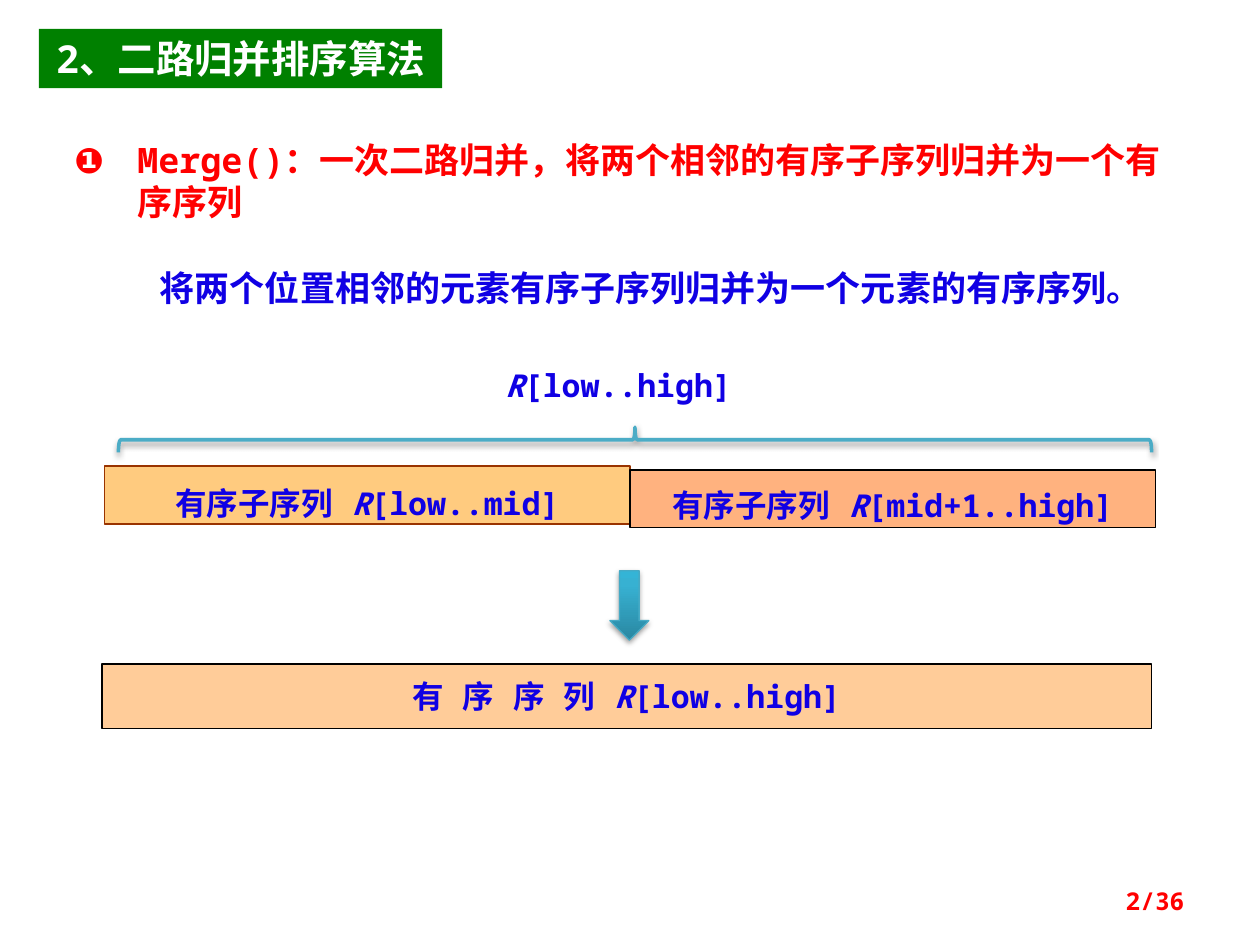
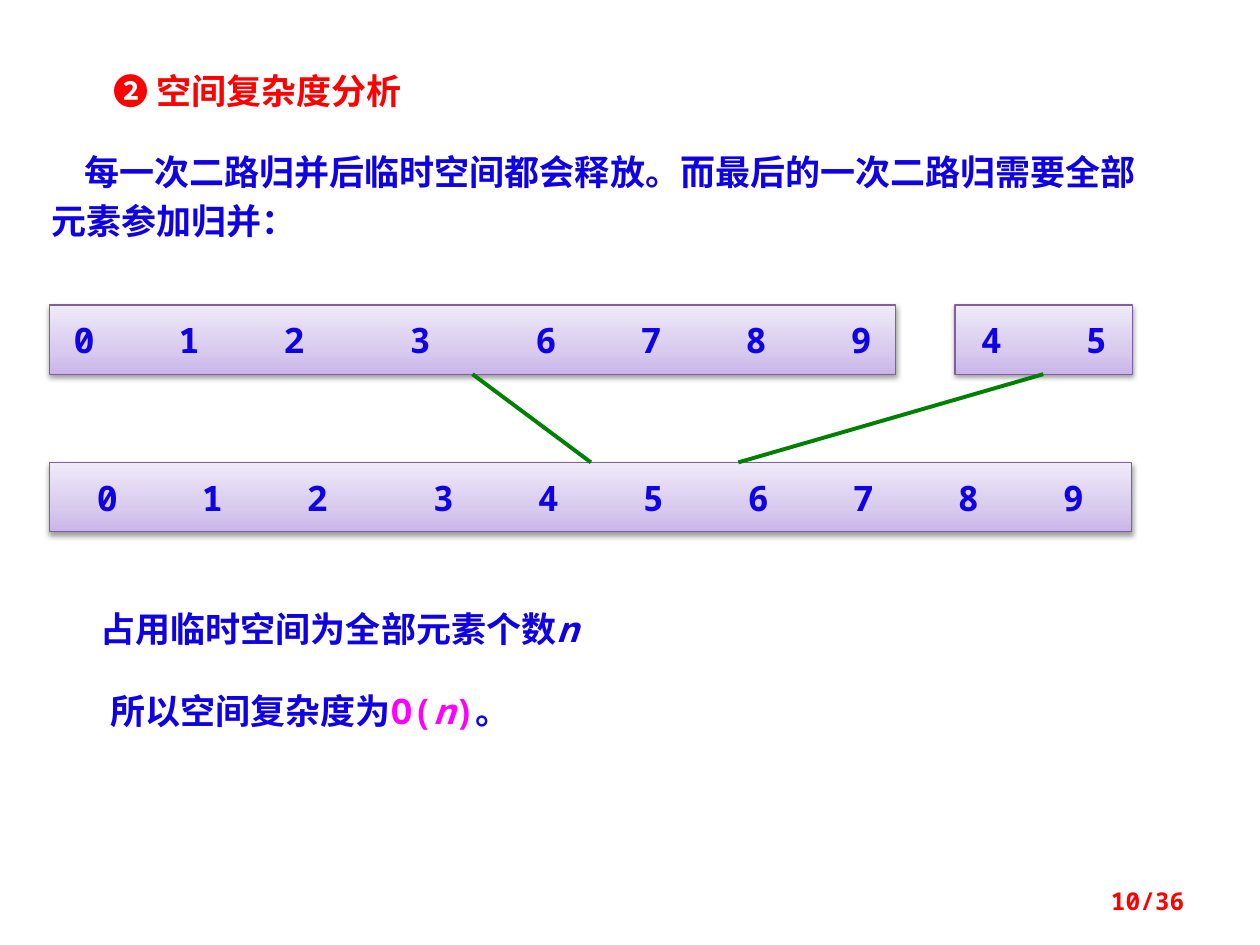
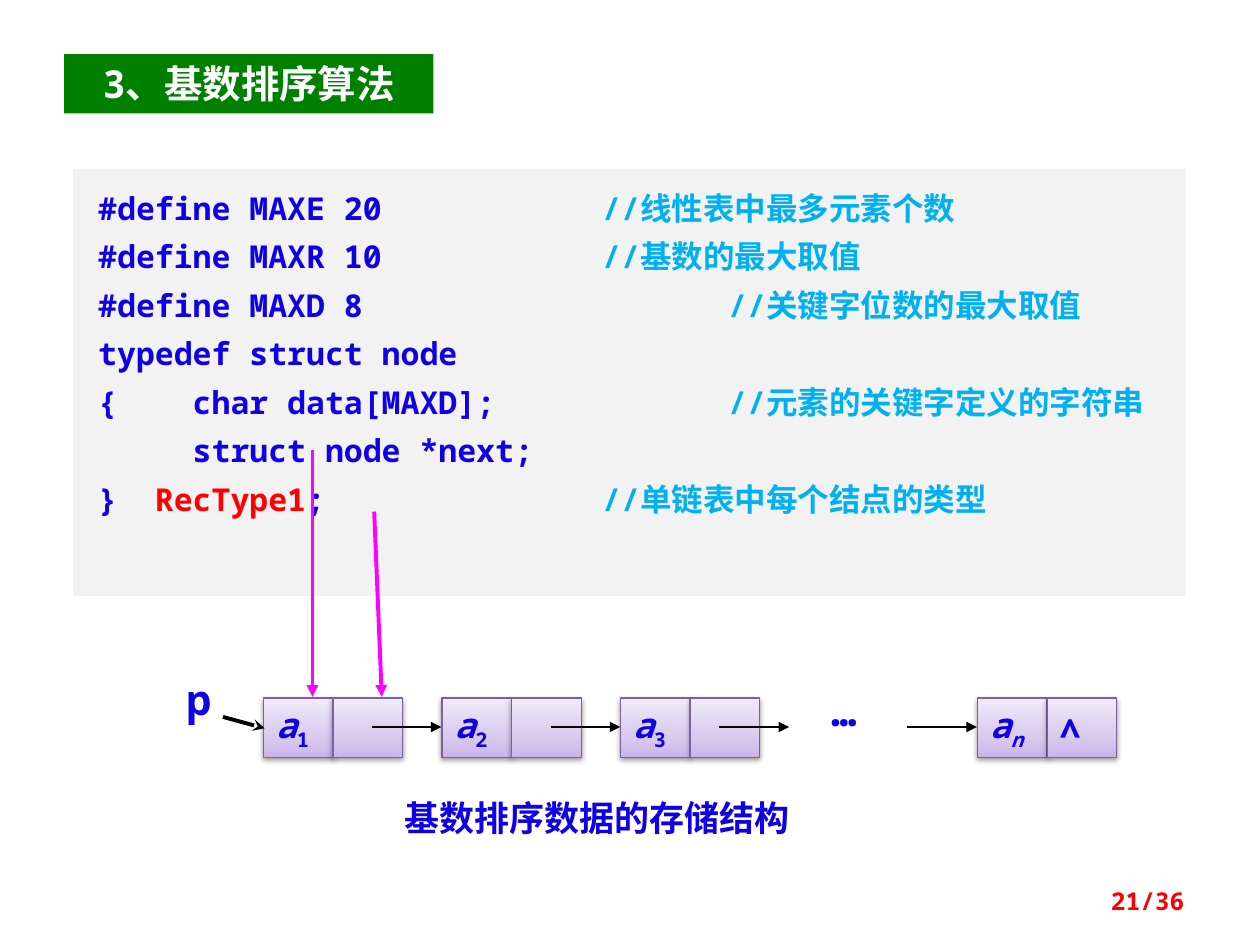
from dataclasses import dataclass
from typing import Optional, Sequence

from lxml.etree import SubElement
from pptx import Presentation
from pptx.dml.color import RGBColor
from pptx.enum.shapes import MSO_CONNECTOR, MSO_SHAPE
from pptx.enum.text import MSO_ANCHOR, PP_ALIGN
from pptx.oxml import parse_xml
from pptx.oxml.ns import nsdecls, qn
from pptx.util import Emu, Inches, Pt

# Colours and fonts
INK = RGBColor(0x10, 0x00, 0xE4)
RED = RGBColor(0xFF, 0x00, 0x00)
WHITE = RGBColor(0xFF, 0xFF, 0xFF)
BLACK = RGBColor(0x00, 0x00, 0x00)
GREEN = RGBColor(0x00, 0x80, 0x00)
MAGENTA = RGBColor(0xFF, 0x00, 0xFF)
COMMENT = RGBColor(0x00, 0xB0, 0xF0)
CODE_GREY = RGBColor(0xF2, 0xF2, 0xF2)
PEACH = RGBColor(0xFF, 0xCC, 0x99)
AMBER = RGBColor(0xFF, 0x99, 0x00)
ORANGE = RGBColor(0xFF, 0x66, 0x00)
BROWN = RGBColor(0x99, 0x33, 0x00)
TEAL = RGBColor(0x4B, 0xAC, 0xC6)
TEAL_EDGE = RGBColor(0x46, 0xAA, 0xC5)
PURPLE = RGBColor(0x7D, 0x60, 0xA0)
LILAC_STOPS = ((0, RGBColor(0xC9, 0xB5, 0xE8)), (35, RGBColor(0xD8, 0xCB, 0xEE)),
               (100, RGBColor(0xF0, 0xEA, 0xF9)))
TEAL_STOPS = ((0, RGBColor(0x2A, 0x88, 0xA2)), (80, RGBColor(0x37, 0xB1, 0xD2)),
              (100, RGBColor(0x34, 0xB4, 0xD6)))
MONO = "Noto Sans Mono"
SANS = "Noto Sans CJK SC"

# The page is a grid of 100 columns by 75 rows
CELL = Inches(0.1)
COLUMNS, ROWS = 100, 75
CHARACTER = 1 / 0.6  # columns taken by one 20 pt monospaced character
PAGE_TOTAL = 36


@dataclass(frozen=True)
class Box:
    column: float
    row: float
    columns: float
    rows: float


@dataclass(frozen=True)
class Span:
    text: str
    color: RGBColor = INK
    size: float = 20
    italic: bool = False
    font: str = MONO
    subscript: bool = False


@dataclass(frozen=True)
class Para:
    spans: Sequence[Span]
    align: PP_ALIGN = PP_ALIGN.LEFT
    line: Optional[float] = None
    before: float = 0
    left: float = 0
    first: float = 0
    tabs: Sequence[float] = ()


@dataclass(frozen=True)
class Look:
    fill: Optional[RGBColor] = None
    alpha: int = 100
    stops: Sequence[tuple] = ()
    line: Optional[RGBColor] = None
    weight: float = 0.75
    shadow: bool = False


@dataclass(frozen=True)
class Frame:
    anchor: MSO_ANCHOR = MSO_ANCHOR.TOP
    insets: tuple = (1, 0.5, 1, 0.5)
    wrap: bool = True


LILAC = Look(stops=LILAC_STOPS, line=PURPLE, shadow=True)
MIDDLE = Frame(anchor=MSO_ANCHOR.MIDDLE)
UNWRAPPED = Frame(anchor=MSO_ANCHOR.MIDDLE, wrap=False)
HEADING = Frame(insets=(2, 0.8, 1, 0.8))


def grid(cells: float) -> Emu:
    return Emu(round(cells * CELL))


# Text
def write(shape, paras: Sequence[Para], frame: Frame) -> None:
    text = shape.text_frame
    text.word_wrap = frame.wrap
    text.vertical_anchor = frame.anchor
    (text.margin_left, text.margin_top,
     text.margin_right, text.margin_bottom) = map(grid, frame.insets)
    for index, item in enumerate(paras):
        para = text.add_paragraph() if index else text.paragraphs[0]
        para.alignment = item.align
        if item.line:
            para.line_spacing = item.line
        if index and item.before:
            para.space_before = Pt(item.before)
        properties = para._p.get_or_add_pPr()
        if item.left or item.first:
            properties.set("marL", str(grid(item.left)))
            properties.set("indent", str(grid(item.first)))
        if item.tabs:
            stops = SubElement(properties, qn("a:tabLst"))
            for stop in item.tabs:
                SubElement(stops, qn("a:tab"), pos=str(grid(stop)), algn="l")
        for part in item.spans:
            add_span(para, part)


def add_span(para, part: Span) -> None:
    span = para.add_run()
    span.text = part.text
    font = span.font
    font.size = Pt(part.size)
    font.bold = True
    font.italic = part.italic
    font.color.rgb = part.color
    font.name = part.font
    properties = span._r.get_or_add_rPr()
    SubElement(properties, qn("a:ea"), typeface=part.font)
    if part.subscript:
        properties.set("baseline", "-25000")


# Shapes and lines
def paint(shape, look: Look) -> None:
    shape.shadow.inherit = False
    if look.fill is None and not look.stops:
        shape.fill.background()
    else:
        shape.fill.solid()
        shape.fill.fore_color.rgb = look.fill or WHITE
    if look.line is None:
        shape.line.fill.background()
    else:
        shape.line.color.rgb = look.line
        shape.line.width = Pt(look.weight)
    properties = shape._element.spPr
    solid = properties.find(qn("a:solidFill"))
    if look.alpha < 100:
        SubElement(solid[0], qn("a:alpha"), val=str(look.alpha * 1000))
    if look.stops:
        stops = "".join(f'<a:gs pos="{share * 1000}"><a:srgbClr val="{color}"/></a:gs>'
                        for share, color in look.stops)
        properties.replace(solid, parse_xml(
            f'<a:gradFill {nsdecls("a")} rotWithShape="1"><a:gsLst>{stops}</a:gsLst>'
            '<a:lin ang="16200000" scaled="0"/></a:gradFill>'))
    if look.shadow:
        properties.find(qn("a:effectLst")).append(parse_xml(
            f'<a:outerShdw {nsdecls("a")} blurRad="{Pt(3.1)}" dist="{Pt(1.6)}" '
            'dir="5400000" rotWithShape="0"><a:srgbClr val="000000">'
            '<a:alpha val="38000"/></a:srgbClr></a:outerShdw>'))


def add_shape(page, box: Box, look: Look, paras: Sequence[Para] = (),
              frame: Frame = Frame(), kind: MSO_SHAPE = MSO_SHAPE.RECTANGLE):
    shape = page.shapes.add_shape(kind, *map(grid, (box.column, box.row, box.columns, box.rows)))
    paint(shape, look)
    if paras:
        write(shape, paras, frame)
    return shape


def add_text(page, box: Box, *paras: Para, frame: Frame = Frame()) -> None:
    shape = page.shapes.add_textbox(*map(grid, (box.column, box.row, box.columns, box.rows)))
    write(shape, paras, frame)


def add_line(page, start: tuple, end: tuple, color: RGBColor,
             weight: float = 2.25, head: str = "") -> None:
    line = page.shapes.add_connector(MSO_CONNECTOR.STRAIGHT, *map(grid, (*start, *end)))
    line.line.color.rgb = color
    line.line.width = Pt(weight)
    if head:
        SubElement(line.line._get_or_add_ln(), qn("a:tailEnd"), type=head)
    SubElement(line._element.spPr, qn("a:effectLst"))


# Parts the slides share
def add_page(deck, number: int):
    page = deck.slides.add_slide(deck.slide_layouts[6])
    label = Span(f"{number}/{PAGE_TOTAL}", RED, 14)
    add_text(page, Box(71.7, 69.5, 23.3, 4), Para([label], PP_ALIGN.RIGHT), frame=MIDDLE)
    return page


def add_title(page, box: Box, title: str) -> None:
    add_shape(page, box, Look(GREEN), [Para([Span(title, WHITE, 22)], PP_ALIGN.CENTER)])


def range_spans(label: str, bounds: str) -> list[Span]:
    spans = [Span(label, size=18)] if label else []
    return spans + [Span("R", size=18, italic=True), Span(bounds, size=18)]


# Slide: merging two runs
def merge_slide(deck) -> None:
    page = add_page(deck, 2)
    add_title(page, Box(3.1, 2.3, 32, 4.7), "2、二路归并排序算法")
    heading = Span("❶\tMerge()：一次二路归并，将两个相邻的有序子序列归并为一个有序序列", RED)
    add_shape(page, Box(3.9, 10.2, 91.4, 8.3), Look(WHITE),
              [Para([heading], left=5, first=-5)], HEADING)
    add_text(page, Box(11.7, 19.8, 80.5, 5.2),
             Para([Span("将两个位置相邻的元素有序子序列归并为一个元素的有序序列。")], line=1.25))

    add_text(page, Box(39.1, 28.6, 21.1, 4), Para(range_spans("", "[low..high]")))
    brace = add_shape(page, Box(49.4, -6.1, 2, 82), Look(line=TEAL, weight=2, shadow=True),
                      kind=MSO_SHAPE.RIGHT_BRACE)
    brace.rotation = 270

    halves = (
        (Box(8.3, 37, 41.7, 4.6), Look(AMBER, 50, line=BROWN, weight=1), "[low..mid]", Frame()),
        (Box(50, 37.3, 41.7, 4.6), Look(ORANGE, 50, line=BLACK), "[mid+1..high]", MIDDLE),
    )
    for box, look, bounds, frame in halves:
        spans = range_spans("有序子序列 ", bounds)
        add_shape(page, box, look, [Para(spans, PP_ALIGN.CENTER, line=Pt(28))], frame)
    add_shape(page, Box(48.4, 45.3, 3.1, 5.5),
              Look(stops=TEAL_STOPS, line=TEAL_EDGE, shadow=True), kind=MSO_SHAPE.DOWN_ARROW)
    add_shape(page, Box(8.1, 52.7, 83.3, 5.1), Look(PEACH, line=BLACK),
              [Para(range_spans("有 序 序 列 ", "[low..high]"), PP_ALIGN.CENTER)], UNWRAPPED)


# Slide: space complexity
def add_digits(page, box: Box, digits: str, wide_after: str = "") -> None:
    """Digits stand five characters apart, six after those in wide_after."""
    places = [0]
    for digit in digits[:-1]:
        places.append(places[-1] + (6 if digit in wide_after else 5))
    side = (box.columns - (places[-1] + 1) * CHARACTER) / 2
    para = Para([Span("\t".join(digits))], tabs=[place * CHARACTER for place in places[1:]])
    add_shape(page, box, LILAC, [para],
              Frame(anchor=MSO_ANCHOR.MIDDLE, insets=(side, 0.5, 0, 0.5)))


def space_slide(deck) -> None:
    page = add_page(deck, 10)
    add_shape(page, Box(7, 4.7, 28.9, 5), Look(WHITE),
              [Para([Span("❷ 空间复杂度分析", RED, font=SANS)])], HEADING)
    reason = Span("每一次二路归并后临时空间都会释放。而最后的一次二路归需要全部元素参加归并：")
    add_text(page, Box(3.1, 10.9, 89.8, 8.9), Para([reason], line=Pt(28), first=2.6))

    add_digits(page, Box(75.8, 24.2, 14.1, 5.5), "45")
    add_digits(page, Box(3.9, 24.2, 67.2, 5.5), "01236789", "23")
    add_digits(page, Box(3.9, 36.7, 85.9, 5.5), "0123456789", "2")
    for source, target in ((37.5, 46.9), (82.8, 58.6)):
        add_line(page, (source, 29.7), (target, 36.7), GREEN)

    add_text(page, Box(7, 47.7, 43.8, 4.4),
             Para([Span("占用临时空间为全部元素个数"), Span("n", italic=True)]))
    add_text(page, Box(7.8, 53.4, 40.6, 4.8),
             Para([Span("所以空间复杂度为"), Span("Ο(", MAGENTA), Span("n", MAGENTA, italic=True),
                   Span(")", MAGENTA), Span("。")], line=1.25))


# Slide: node type for radix sort
NEAR, FAR = 40, 50  # tab stops of the code comments
CODE = (
    (NEAR, (("#define MAXE 20\t", INK), ("//线性表中最多元素个数", COMMENT))),
    (NEAR, (("#define MAXR 10\t", INK), ("//基数的最大取值", COMMENT))),
    (FAR, (("#define MAXD 8\t", INK), ("//关键字位数的最大取值", COMMENT))),
    (NEAR, (("typedef struct node", INK),)),
    (FAR, (("{    char data[MAXD];\t", INK), ("//元素的关键字定义的字符串", COMMENT))),
    (NEAR, (("     struct node *next;", INK),)),
    (NEAR, (("}  ", INK), ("RecType1", RED), (";\t", INK), ("//单链表中每个结点的类型", COMMENT))),
)
NODE_LEFT, NODE_TOP, NODE_STEP = 20.9, 55.4, 14.17
FIELD_WIDTH, FIELD_HEIGHT = 5.53, 4.7


def add_node(page, place: int, index: str, following: str = "") -> None:
    left = NODE_LEFT + place * NODE_STEP
    name = [Span("a", italic=True), Span(index, italic=index.isalpha(), subscript=True)]
    for field, spans in enumerate((name, [Span(following)] if following else [])):
        box = Box(left + field * FIELD_WIDTH, NODE_TOP, FIELD_WIDTH, FIELD_HEIGHT)
        add_shape(page, box, LILAC, [Para(spans)] if spans else (), UNWRAPPED)


def radix_slide(deck) -> None:
    page = add_page(deck, 21)
    add_title(page, Box(5.1, 4.3, 29.3, 4.7), "3、基数排序算法")
    lines = [Para([Span(text, color, 18) for text, color in parts], PP_ALIGN.JUSTIFY,
                  before=6.1, tabs=[stop]) for stop, parts in CODE]
    add_shape(page, Box(5.8, 13.4, 88.3, 33.9), Look(CODE_GREY), lines,
              Frame(insets=(2, 1.6, 1, 1.6)))

    # Linked list
    for place, index, following in ((0, "1", ""), (1, "2", ""), (2, "3", ""), (4, "n", "∧")):
        add_node(page, place, index, following)
    for start in (29.5, 43.7, 57.1, 72):
        add_line(page, (start, 57.7), (start + FIELD_WIDTH, 57.7), BLACK, 0.75, "triangle")
    add_text(page, Box(13.8, 53, 3.9, 5), Para([Span("p", size=24)]))
    add_line(page, (17.7, 56.9), (21, 57.8), BLACK, head="stealth")
    add_text(page, Box(65, 53.8, 4.7, 5), Para([Span("…", size=24)]))
    add_text(page, Box(31.1, 62.7, 42.5, 4.4), Para([Span("基数排序数据的存储结构")]))

    # From the declared members to the node's fields
    for start, end in (((24.8, 35.7), (24.8, 55.3)), ((29.7, 40.6), (30.3, 55.3))):
        add_line(page, start, end, MAGENTA, head="triangle")


def main() -> None:
    deck = Presentation()
    deck.slide_width, deck.slide_height = grid(COLUMNS), grid(ROWS)
    merge_slide(deck)
    space_slide(deck)
    radix_slide(deck)
    deck.save("out.pptx")


if __name__ == "__main__":
    main()
